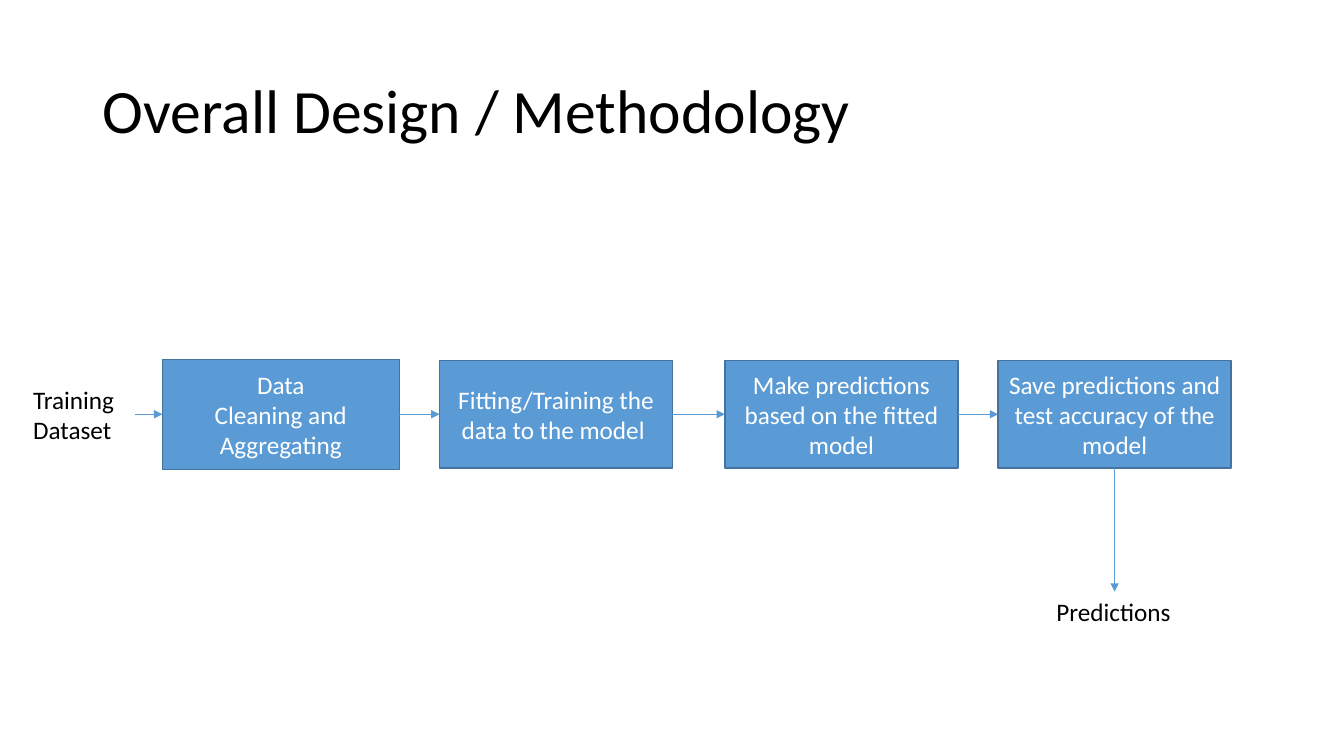
from dataclasses import dataclass
from itertools import pairwise

from lxml.etree import SubElement
from pptx import Presentation
from pptx.dml.color import RGBColor
from pptx.enum.shapes import MSO_CONNECTOR, MSO_SHAPE
from pptx.enum.text import MSO_ANCHOR, PP_ALIGN
from pptx.oxml.ns import qn
from pptx.util import Inches, Pt


@dataclass(frozen=True)
class Theme:
    """Colours, type sizes and line widths of the slide."""
    font: str = "Calibri"
    ink: str = "000000"
    paper: str = "FFFFFF"
    fill: str = "5B9BD5"
    edge: str = "43739E"
    head: int = 44
    body: int = 18
    rim: float = 1
    wire: float = 0.5


THEME = Theme()
COLS, ROWS = 13.33, 7.5
CELL = Inches(1)
MID = 4.11
TOP, RIGHT, LEFT, FOOT = 0, 3, 1, 2
STEPS = [
    (1.61, 2.35, 1.09, ["Data", "Cleaning and Aggregating"]),
    (4.36, 2.31, 1.07, ["Fitting/Training the data to the model "]),
    (7.19, 2.31, 1.07, ["Make predictions based on the fitted model"]),
    (9.9, 2.31, 1.07, ["Save predictions and test accuracy of the model"]),
]


def grid(*cells):
    """Turn grid columns and rows into slide lengths."""
    return [round(cell * CELL) for cell in cells]


def tint(text):
    """Return the colour for a hex string."""
    return RGBColor.from_string(text)


def write(frame, lines, size, ink, align=PP_ALIGN.LEFT, pitch=None):
    """Fill a text frame with one paragraph and run per line."""
    for i, line in enumerate(lines):
        para = frame.add_paragraph() if i else frame.paragraphs[0]
        para.alignment = align
        para.line_spacing = pitch
        run = para.add_run()
        run.text = line
        run.font.name = THEME.font
        run.font.size = Pt(size)
        run.font.color.rgb = tint(ink)


def label(slide, place, lines, size=THEME.body, wrap=True,
          anchor=MSO_ANCHOR.TOP, pitch=None):
    """Add a plain text box."""
    box = slide.shapes.add_textbox(*grid(*place))
    frame = box.text_frame
    frame.word_wrap = wrap
    frame.vertical_anchor = anchor
    write(frame, lines, size, THEME.ink, pitch=pitch)
    return box


def step(slide, left, width, height, lines):
    """Add a process box centred on the flow axis."""
    place = grid(left, MID - height / 2, width, height)
    box = slide.shapes.add_shape(MSO_SHAPE.RECTANGLE, *place)
    box.shadow.inherit = False
    box.fill.solid()
    box.fill.fore_color.rgb = tint(THEME.fill)
    box.line.color.rgb = tint(THEME.edge)
    box.line.width = Pt(THEME.rim)
    frame = box.text_frame
    frame.word_wrap = True
    frame.vertical_anchor = MSO_ANCHOR.MIDDLE
    write(frame, lines, THEME.body, THEME.paper, PP_ALIGN.CENTER)
    return box


def arrow(slide, start, end, out=RIGHT, into=LEFT):
    """Join two shapes with an arrow."""
    link = slide.shapes.add_connector(MSO_CONNECTOR.STRAIGHT, 0, 0, 0, 0)
    link.begin_connect(start, out)
    link.end_connect(end, into)
    link.line.color.rgb = tint(THEME.fill)
    link.line.width = Pt(THEME.wire)
    props = link.element.spPr
    SubElement(props.find(qn("a:ln")), qn("a:tailEnd"), type="triangle")
    SubElement(props, qn("a:effectLst"))


def main():
    """Build the slide and save it."""
    deck = Presentation()
    deck.slide_width, deck.slide_height = grid(COLS, ROWS)
    slide = deck.slides.add_slide(deck.slide_layouts[6])
    label(slide, (0.92, 0.4, 11.5, 1.45), ["Overall Design / Methodology"],
          THEME.head, anchor=MSO_ANCHOR.MIDDLE, pitch=0.9)
    boxes = [step(slide, *item) for item in STEPS]
    data = label(slide, (0.23, MID - 0.35, 1.11, 0.7), ["Training", "Dataset"])
    for start, end in pairwise([data, *boxes]):
        arrow(slide, start, end)
    result = label(slide, (10.38, 5.87, 1.35, 0.4), ["Predictions"], wrap=False)
    arrow(slide, boxes[-1], result, FOOT, TOP)
    deck.save("out.pptx")


main()
